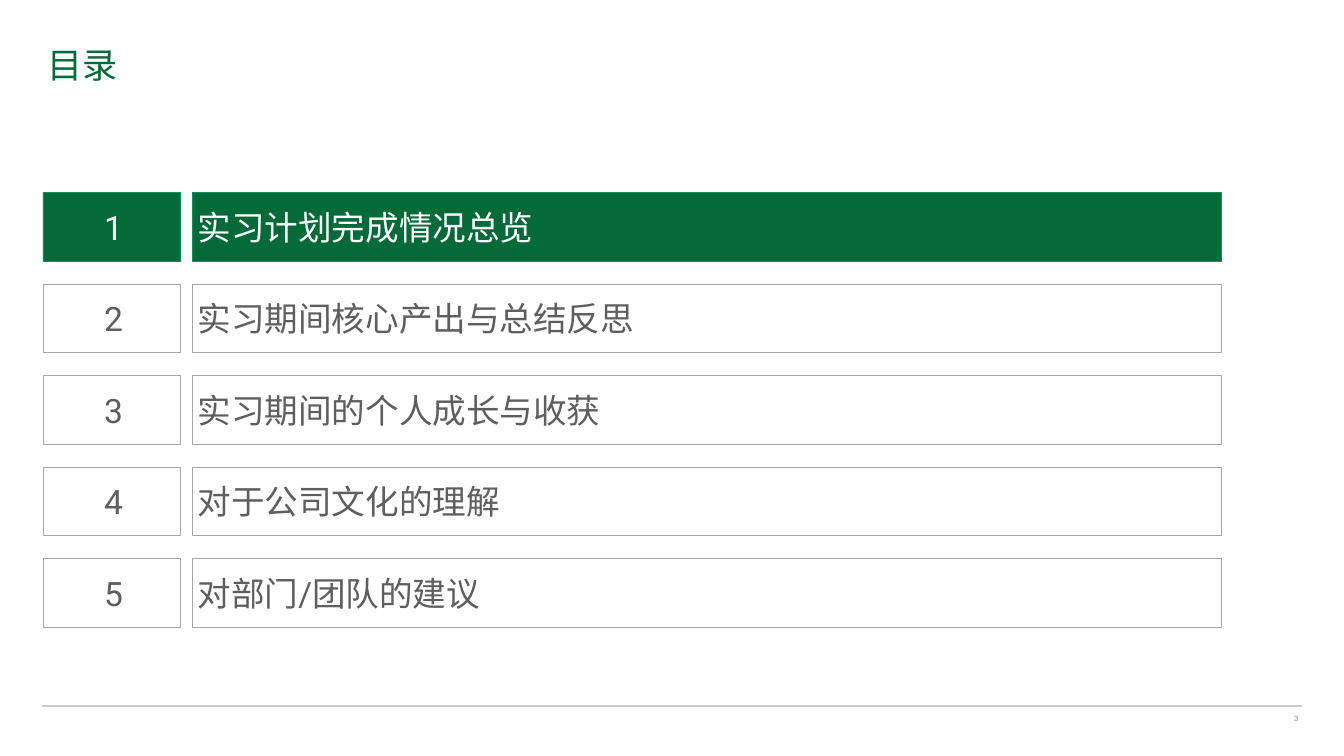
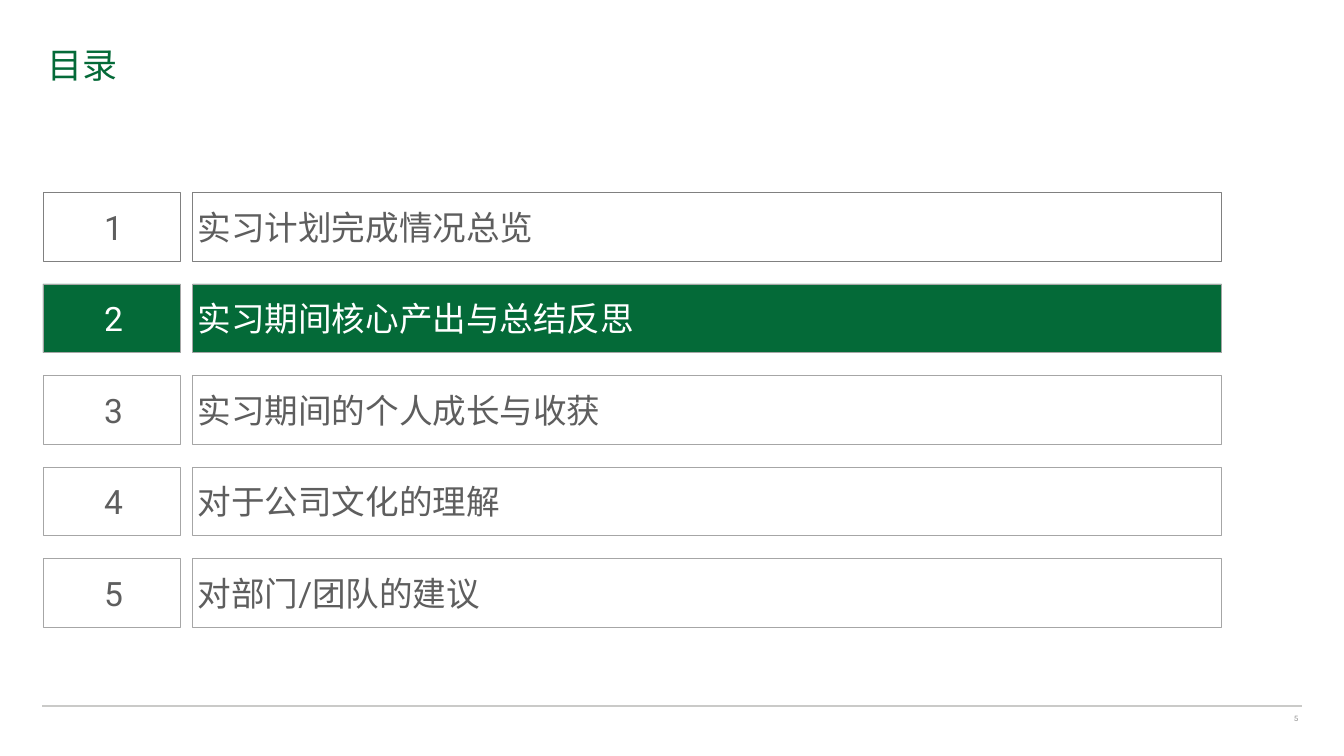
import dataclasses

import lxml.etree
import pptx
import pptx.dml.color
import pptx.enum.lang
import pptx.enum.shapes
import pptx.enum.text
import pptx.oxml.ns
import pptx.util

Inches = pptx.util.Inches
ALIGN = pptx.enum.text.PP_ALIGN
MIDDLE = pptx.enum.text.MSO_ANCHOR.MIDDLE


@dataclasses.dataclass(frozen=True)
class Theme:
    green: str = "046A38"
    bright_green: str = "00925F"
    white: str = "FFFFFF"
    text_gray: str = "5E5E5E"
    outline: str = "A6A6A6"
    dark_outline: str = "808080"
    rule_gray: str = "CACAC8"
    page_gray: str = "929292"
    title_font: str = "Karla"
    body_font: str = "Roboto"
    title_size: int = 50
    agenda_size: int = 48
    page_size: int = 12


THEME = Theme()
TITLE = "目录"
TOPICS = [
    "实习计划完成情况总览",
    "实习期间核心产出与总结反思",
    "实习期间的个人成长与收获",
    "对于公司文化的理解",
    "对部门/团队的建议",
]

# Page number, highlighted topic, outline of the first row
PAGES = [
    (3, 1, THEME.bright_green),
    (5, 2, THEME.dark_outline),
]

# Agenda grid, in inches
ROW_TOP, ROW_HEIGHT, ROW_PITCH = 3.82, 1.36, 1.815
NUMBER_LEFT, NUMBER_WIDTH = 0.85, 2.73
TOPIC_LEFT, TOPIC_WIDTH = 3.82, 20.42
RULE_LEFT, RULE_RIGHT, RULE_TOP = 0.84, 25.83, 14.01


def rgb(value):
    return pptx.dml.color.RGBColor.from_string(value)


def set_attributes(target, values):
    for name, value in values.items():
        setattr(target, name, value)


def write(shape, text, font, size, color, align, **frame_format):
    frame = shape.text_frame
    set_attributes(frame, {"word_wrap": True, **frame_format})
    para = frame.paragraphs[0]
    para.alignment = align
    span = para.add_run()
    span.text = text
    set_attributes(span.font, {
        "name": font,
        "size": pptx.util.Pt(size),
        "bold": False,
        "language_id": pptx.enum.lang.MSO_LANGUAGE_ID.SIMPLIFIED_CHINESE,
    })
    span.font.color.rgb = rgb(color)
    # Chinese characters use the same typeface setting
    properties = span.font._element
    east_asian = lxml.etree.SubElement(properties, pptx.oxml.ns.qn("a:ea"))
    east_asian.set("typeface", font)


def add_title(page):
    title = page.shapes.title
    set_attributes(title, {
        "left": Inches(0.85), "top": Inches(0.69),
        "width": Inches(24.98), "height": Inches(1.17),
    })
    write(title, TITLE, THEME.title_font, THEME.title_size, THEME.green,
          ALIGN.LEFT, vertical_anchor=MIDDLE)


def add_footer(page, number):
    rule = page.shapes.add_connector(
        pptx.enum.shapes.MSO_CONNECTOR.STRAIGHT,
        Inches(RULE_LEFT), Inches(RULE_TOP), Inches(RULE_RIGHT), Inches(RULE_TOP))
    rule.line.color.rgb = rgb(THEME.rule_gray)
    rule.line.width = pptx.util.Pt(2)
    lxml.etree.SubElement(rule._element.spPr, pptx.oxml.ns.qn("a:effectLst"))

    box = page.shapes.add_textbox(
        Inches(22.84), Inches(14.08), Inches(2.99), Inches(0.31))
    margins = dict.fromkeys(
        ("margin_left", "margin_top", "margin_right", "margin_bottom"), Inches(0.06))
    write(box, str(number), THEME.title_font, THEME.page_size, THEME.page_gray,
          ALIGN.RIGHT, **margins)


def add_cell(group, left, top, width, fill, outline, weight):
    cell = group.shapes.add_shape(
        pptx.enum.shapes.MSO_SHAPE.RECTANGLE,
        Inches(left), Inches(top), Inches(width), Inches(ROW_HEIGHT))
    cell.shadow.inherit = False
    if fill:
        cell.fill.solid()
        cell.fill.fore_color.rgb = rgb(fill)
    else:
        cell.fill.background()
    cell.line.color.rgb = rgb(outline)
    cell.line.width = pptx.util.Pt(weight)
    return cell


def add_agenda_row(group, index, topic, active, outline):
    top = ROW_TOP + index * ROW_PITCH
    color = THEME.white if active else THEME.text_gray
    style = (THEME.body_font, THEME.agenda_size, color)

    number_fill = THEME.green if active else None
    number = add_cell(group, NUMBER_LEFT, top, NUMBER_WIDTH, number_fill, outline, 0.75)
    write(number, str(index + 1), *style, ALIGN.CENTER, vertical_anchor=MIDDLE,
          margin_left=Inches(0.13), margin_right=Inches(0.05))

    topic_fill = THEME.green if active else THEME.white
    label = add_cell(group, TOPIC_LEFT, top, TOPIC_WIDTH, topic_fill, outline, 0.5)
    write(label, topic, *style, ALIGN.LEFT, vertical_anchor=MIDDLE)


def add_agenda_page(deck, number, active_topic, first_outline):
    page = deck.slides.add_slide(deck.slide_layouts.get_by_name("Title Only"))
    add_footer(page, number)
    add_title(page)
    group = page.shapes.add_group_shape()
    for index, topic in enumerate(TOPICS):
        outline = first_outline if index == 0 else THEME.outline
        add_agenda_row(group, index, topic, index + 1 == active_topic, outline)


def main():
    deck = pptx.Presentation()
    deck.slide_width, deck.slide_height = Inches(26.67), Inches(15)
    for number, active_topic, first_outline in PAGES:
        add_agenda_page(deck, number, active_topic, first_outline)
    deck.save("out.pptx")


if __name__ == "__main__":
    main()
